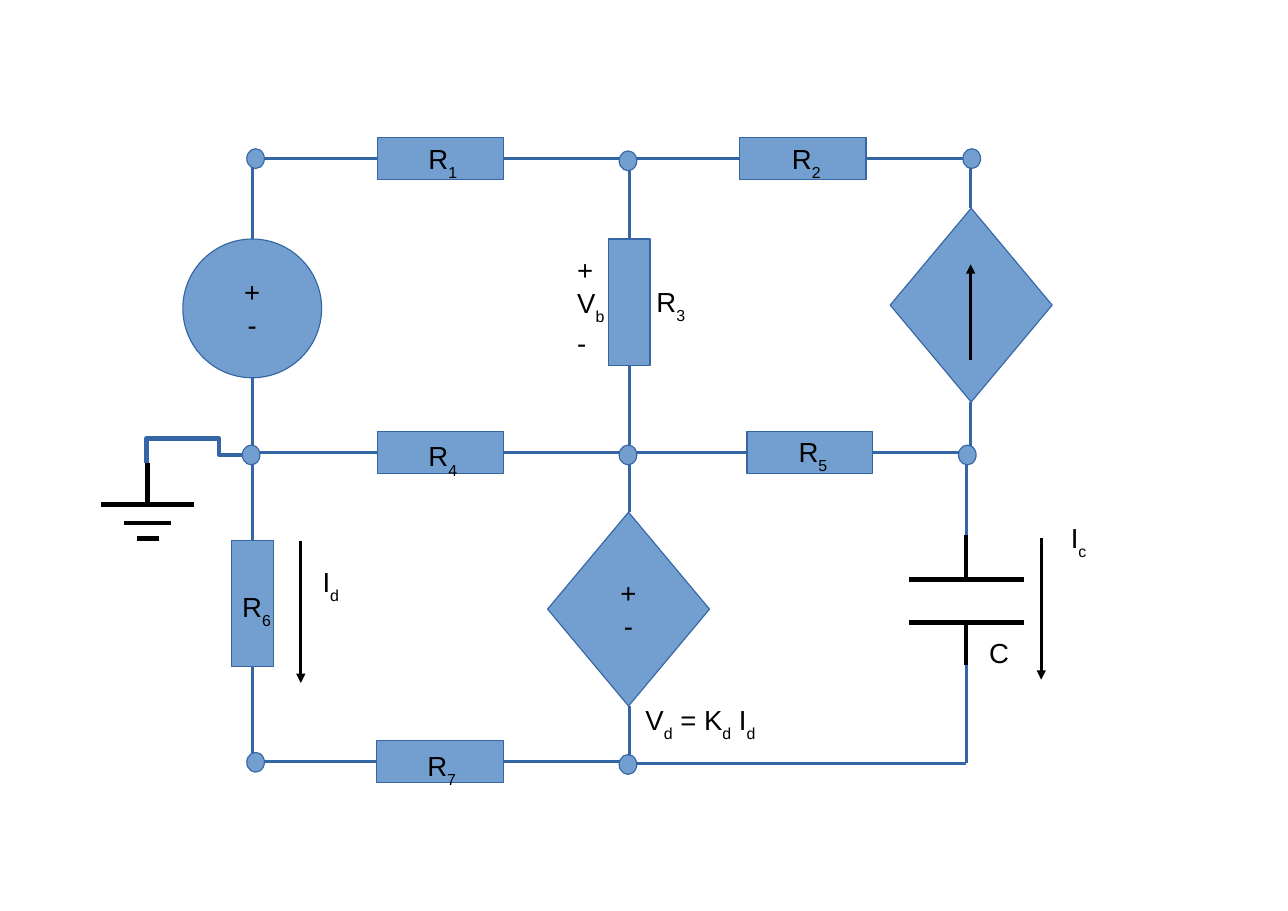
from dataclasses import dataclass
from itertools import pairwise

from pptx import Presentation
from pptx.dml.color import RGBColor
from pptx.enum.shapes import MSO_CONNECTOR, MSO_SHAPE
from pptx.enum.text import MSO_ANCHOR, PP_ALIGN
from pptx.oxml.ns import qn
from pptx.util import Pt
from lxml import etree

PX = 9144
STRAIGHT = MSO_CONNECTOR.STRAIGHT
RECT, OVAL, DIAMOND = MSO_SHAPE.RECTANGLE, MSO_SHAPE.OVAL, MSO_SHAPE.DIAMOND
TOP, MIDDLE = MSO_ANCHOR.TOP, MSO_ANCHOR.MIDDLE
LEFT, CENTER = PP_ALIGN.LEFT, PP_ALIGN.CENTER


@dataclass(frozen=True)
class Theme:
    fill: RGBColor = RGBColor(0x72, 0x9F, 0xCF)
    wire: RGBColor = RGBColor(0x34, 0x65, 0xA4)
    ink: RGBColor = RGBColor(0, 0, 0)
    font: str = "Arial"
    size: int = Pt(18)
    hairline: int = 0
    thick: int = Pt(2.83)


THEME = Theme()

RESISTORS = [
    (343, 125, 114, 38), (671, 125, 115, 38),
    (343, 392, 114, 38), (678, 392, 114, 38),
    (552, 217, 38, 115), (342, 672, 115, 38), (210, 491, 38, 114),
]
WIRES = [
    [(343, 144), (229, 144), (229, 217)],
    [(457, 144), (571, 144), (571, 217)],
    [(671, 144), (571, 144)],
    [(786, 144), (881, 144), (881, 189)],
    [(229, 343), (229, 411), (343, 411)],
    [(457, 411), (678, 411)],
    [(571, 332), (571, 465)],
    [(792, 411), (877, 411)],
    [(881, 365), (881, 412), (877, 412), (877, 486)],
    [(229, 411), (229, 491)],
    [(229, 605), (229, 691), (343, 691)],
    [(457, 691), (571, 691), (571, 641)],
    [(877, 604), (877, 693), (571, 693)],
]
GROUND_LEAD = [(220, 413), (199, 413), (199, 398), (133, 398), (133, 420)]
NODES = [
    (232, 144), (570, 146), (882, 144),
    (228, 413), (570, 413), (878, 413),
    (232, 692), (570, 694),
]
LABELS = [
    (["R|1"], (379, 124, 60, 44)), (["R|2"], (709, 124, 60, 44)),
    (["R|3"], (586, 254, 60, 46)), (["R|4"], (379, 394, 60, 44)),
    (["R|5"], (715, 390, 60, 45)), (["R|6"], (210, 531, 80, 76)),
    (["R|7"], (378, 675, 60, 44)), (["C"], (888, 572, 60, 42)),
    (["I|c"], (962, 468, 148, 76)), (["I|d"], (283, 508, 126, 125)),
    (["V|d| = K|d| I|d"], (576, 633, 220, 76)),
    (["+", "V|b", "-"], (514, 225, 60, 100)),
]
CURRENTS = [(273, 491, 129), (945, 488, 129)]


def apply(target, values):
    for name, value in values.items():
        setattr(target, name, value)


def write(sp, lines, align, anchor, wrap):
    tf = sp.text_frame
    apply(tf, {"word_wrap": wrap, "vertical_anchor": anchor,
               "margin_left": 10 * PX, "margin_right": 10 * PX,
               "margin_top": 5 * PX, "margin_bottom": 5 * PX})
    for i, line in enumerate(lines):
        p = tf.add_paragraph() if i else tf.paragraphs[0]
        p.alignment = align
        for j, part in enumerate(line.split("|")):
            r = p.add_run()
            r.text = part
            apply(r.font, {"name": THEME.font, "size": THEME.size})
            r.font.color.rgb = THEME.ink
            if j % 2:
                r.font._element.set("baseline", "-33000")


def draw_shape(shapes, kind, box, lines=()):
    sp = shapes.add_shape(kind, *(v * PX for v in box))
    sp.shadow.inherit = False
    sp.fill.solid()
    sp.fill.fore_color.rgb = THEME.fill
    sp.line.color.rgb = THEME.wire
    sp.line.width = THEME.hairline
    if lines:
        write(sp, lines, CENTER, MIDDLE, False)


def draw_line(shapes, start, end, color, width, arrow=False):
    s = shapes.add_connector(STRAIGHT, *(v * PX for v in (*start, *end)))
    s.line.color.rgb = color
    s.line.width = width
    if arrow:
        etree.SubElement(s.line._get_or_add_ln(), qn("a:tailEnd"), type="triangle")
    etree.SubElement(s._element.spPr, qn("a:effectLst"))


def draw_label(shapes, lines, box):
    sp = shapes.add_textbox(*(v * PX for v in box))
    write(sp, lines, LEFT, TOP, True)


def draw_node(shapes, cx, cy):
    draw_shape(shapes, OVAL, (cx - 8, cy - 9, 16, 18))


def draw_current_source(shapes, box):
    x, y, w, h = box
    group = shapes.add_group_shape().shapes
    draw_shape(group, DIAMOND, box)
    cx = x + w // 2
    draw_line(group, (cx, y + h - 38), (cx, y + 51), THEME.ink, THEME.hairline, True)


def draw_capacitor(shapes, box):
    x, y, w, h = box
    group = shapes.add_group_shape().shapes
    cx, upper, lower = x + w // 2, y + h // 3 + 1, y + 2 * h // 3 + 1
    for start, end in [((cx, y), (cx, upper)), ((x, upper), (x + w, upper)),
                       ((x, lower), (x + w, lower)), ((cx, lower), (cx, y + h))]:
        draw_line(group, start, end, THEME.ink, THEME.thick)


def draw_ground(shapes, box):
    x, y, w, h = box
    group = shapes.add_group_shape().shapes
    cx = x + w // 2 + 1
    draw_line(group, (cx, y), (cx, y + 38), THEME.ink, THEME.thick)
    for half, drop in [(w // 2, 38), (w // 4, 55), (w // 8, h)]:
        draw_line(group, (cx - half, y + drop), (cx + half, y + drop),
                  THEME.ink, THEME.thick)


def draw_ground_lead(shapes, points):
    builder = shapes.build_freeform(*points[0], scale=PX)
    builder.add_line_segments(points[1:], close=False)
    sp = builder.convert_to_shape()
    sp.shadow.inherit = False
    sp.fill.background()
    sp.line.color.rgb = THEME.wire
    sp.line.width = THEME.thick


def draw_circuit(shapes):
    for points in WIRES:
        for start, end in pairwise(points):
            draw_line(shapes, start, end, THEME.wire, THEME.hairline)
    for box in RESISTORS:
        draw_shape(shapes, RECT, box)
    draw_shape(shapes, OVAL, (166, 217, 126, 126), ["+", "-"])
    draw_shape(shapes, DIAMOND, (497, 465, 147, 176), ["+", "-"])
    draw_current_source(shapes, (808, 189, 147, 176))
    draw_capacitor(shapes, (825, 486, 104, 118))
    draw_ground(shapes, (91, 420, 84, 69))
    draw_ground_lead(shapes, GROUND_LEAD)
    for cx, cy in NODES:
        draw_node(shapes, cx, cy)
    for x, y, length in CURRENTS:
        draw_line(shapes, (x, y), (x, y + length), THEME.ink, THEME.hairline, True)
    for lines, box in LABELS:
        draw_label(shapes, lines, box)


def main():
    prs = Presentation()
    apply(prs, {"slide_width": 1169 * PX, "slide_height": 827 * PX})
    slide = prs.slides.add_slide(prs.slide_layouts[6])
    draw_circuit(slide.shapes)
    prs.save("out.pptx")


if __name__ == "__main__":
    main()
